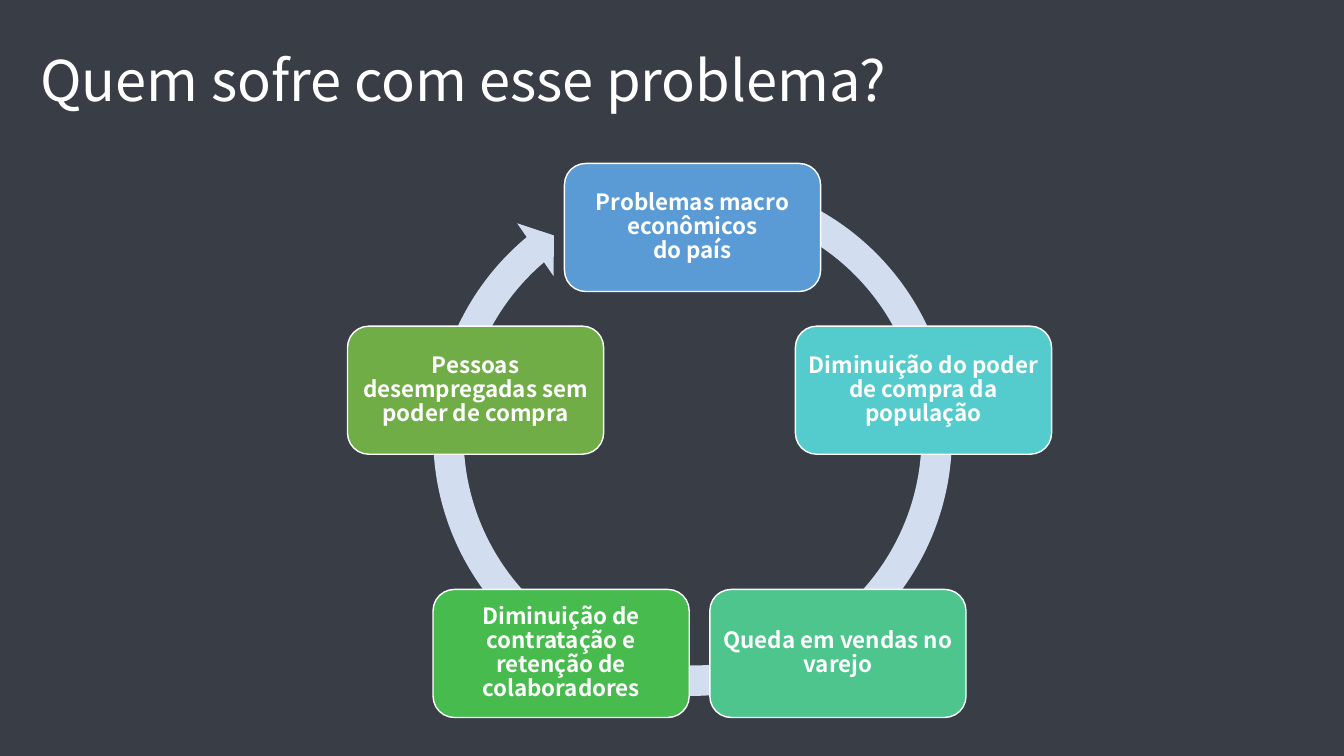
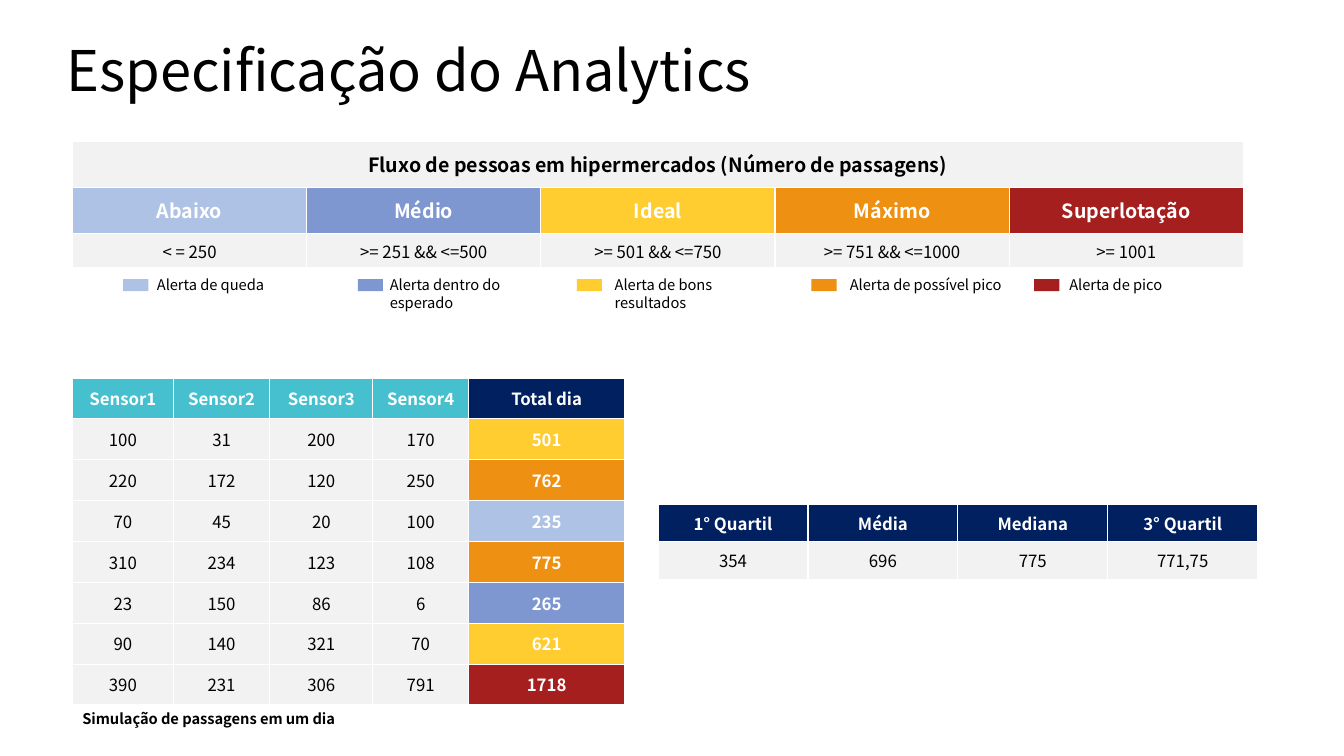
"""Build two slides: the cycle of the retail problem and the analytics specification."""
from dataclasses import dataclass
from math import cos, pi, sin

from pptx import Presentation
from pptx.dml.color import RGBColor
from pptx.enum.shapes import MSO_SHAPE
from pptx.enum.text import MSO_ANCHOR, MSO_AUTO_SIZE, PP_ALIGN
from pptx.util import Pt

LEFT, CENTER = PP_ALIGN.LEFT, PP_ALIGN.CENTER
MIDDLE = MSO_ANCHOR.MIDDLE
NO_AUTOFIT = MSO_AUTO_SIZE.NONE
ROUNDED, RECTANGLE = MSO_SHAPE.ROUNDED_RECTANGLE, MSO_SHAPE.RECTANGLE
CIRCULAR_ARROW = MSO_SHAPE.CIRCULAR_ARROW


@dataclass(frozen=True)
class Theme:
    font: str = "Noto Sans CJK SC"
    white: str = "FFFFFF"
    black: str = "000000"
    dark: str = "383D46"
    ring: str = "D2DEEF"
    grey: str = "F2F2F2"
    navy: str = "002060"
    teal: str = "46C0CF"
    below: str = "ADC2E5"
    medium: str = "7E97D0"
    ideal: str = "FFCD2F"
    maximum: str = "EE9012"
    crowded: str = "A51F1F"
    title_size: float = 40
    node_size: float = 16
    heading_size: float = 14
    table_size: float = 12
    small_size: float = 10.5


theme = Theme()


def write(frame, text, size, colour, bold=False, align=LEFT, spacing=1.0):
    frame.text = text
    frame.word_wrap = True
    for paragraph in frame.paragraphs:
        paragraph.alignment = align
        paragraph.line_spacing = spacing
        for run in paragraph.runs:
            run.font.name = theme.font
            run.font.size = Pt(size)
            run.font.bold = bold
            run.font.color.rgb = RGBColor.from_string(colour)


def add_titled_slide(title, left, top, background, colour):
    slide = deck.slides.add_slide(deck.slide_layouts[5])
    slide.background.fill.solid()
    slide.background.fill.fore_color.rgb = RGBColor.from_string(background)
    heading = slide.shapes.title
    heading.left, heading.top = Pt(left), Pt(top)
    heading.width, heading.height = Pt(828), Pt(104.4)
    heading.text_frame.auto_size = NO_AUTOFIT
    heading.text_frame.vertical_anchor = MIDDLE
    write(heading.text_frame, title, theme.title_size, colour, spacing=0.9)
    return slide


deck = Presentation()
deck.slide_width, deck.slide_height = Pt(960), Pt(540)

cycle = add_titled_slide("Quem sofre com esse problema?", 21.6, 7.2, theme.dark, theme.white)

ring = cycle.shapes.add_shape(CIRCULAR_ARROW, Pt(297.4), Pt(114.5), Pt(394.6), Pt(394.6))
for index, value in enumerate((0.055, 3.307, 137.948, 173.745, 0.058)):
    ring.adjustments[index] = value
ring.shadow.inherit = False
ring.fill.solid()
ring.fill.fore_color.rgb = RGBColor.from_string(theme.ring)
ring.line.fill.background()

stages = [
    ("Problemas macro econômicos\vdo país", "5B9BD5", -5),
    ("Diminuição do poder de compra da população", "54CCCD", 0),
    ("Queda em vendas no varejo", "4DC58D", 0),
    ("Diminuição de contratação e retenção de colaboradores", "48BB4F", 0),
    ("Pessoas desempregadas sem poder de compra", "70AD47", 0),
]
centre_x, centre_y, radius = 499.7, 330.7, 168.2
stage_width, stage_height = 183, 91.5
for index, (text, colour, nudge) in enumerate(stages):
    angle = 2 * pi * index / len(stages)
    left = centre_x + radius * sin(angle) - stage_width / 2 + nudge
    top = centre_y - radius * cos(angle) - stage_height / 2
    stage = cycle.shapes.add_shape(ROUNDED, Pt(left), Pt(top), Pt(stage_width), Pt(stage_height))
    stage.shadow.inherit = False
    stage.fill.solid()
    stage.fill.fore_color.rgb = RGBColor.from_string(colour)
    stage.line.color.rgb = RGBColor.from_string(theme.white)
    stage.line.width = Pt(1)
    frame = stage.text_frame
    frame.margin_left = frame.margin_right = frame.margin_top = frame.margin_bottom = Pt(5)
    frame.vertical_anchor = MIDDLE
    write(frame, text, theme.node_size, theme.white, True, CENTER, 0.9)

analytics = add_titled_slide("Especificação do Analytics", 40.4, 0, theme.white, theme.black)

bands = [
    ("Abaixo", "< = 250", 250, theme.below),
    ("Médio", ">= 251 && <=500", 500, theme.medium),
    ("Ideal", ">= 501 && <=750", 750, theme.ideal),
    ("Máximo", ">= 751 && <=1000", 1000, theme.maximum),
    ("Superlotação", ">= 1001", float("inf"), theme.crowded),
]
flow_rows = [
    [("Fluxo de pessoas em hipermercados (Número de passagens)", theme.grey)],
    [(name, colour) for name, _, _, colour in bands],
    [(limits, theme.grey) for _, limits, _, _ in bands],
]

passages = [
    (100, 31, 200, 170),
    (220, 172, 120, 250),
    (70, 45, 20, 100),
    (310, 234, 123, 108),
    (23, 150, 86, 6),
    (90, 140, 321, 70),
    (390, 231, 306, 791),
]
sensor_rows = [[(f"Sensor{n}", theme.teal) for n in range(1, 5)] + [("Total dia", theme.navy)]]
for counts in passages:
    total = sum(counts)
    total_colour = next(colour for _, _, limit, colour in bands if total <= limit)
    sensor_rows.append([(str(n), theme.grey) for n in counts] + [(str(total), total_colour)])

statistics = {"1° Quartil": "354", "Média": "696", "Mediana": "775", "3° Quartil": "771,75"}
statistic_rows = [
    [(name, theme.navy) for name in statistics],
    [(value, theme.grey) for value in statistics.values()],
]

heading, body = theme.heading_size, theme.table_size
tables = [
    (51.8, 100.8, [167.3] * 5, [33, 33, 24], flow_rows, [heading, heading, body], (7.2, 3.6)),
    (51.8, 270, [72, 69, 73.5, 68.5, 111.5], [29.2] * 8, sensor_rows, [body] * 8, (1, 0.5)),
    (470, 360, [107.1] * 4, [27] * 2, statistic_rows, [body] * 2, (1, 0.5)),
]
for left, top, widths, heights, rows, sizes, (side, edge) in tables:
    grid = analytics.shapes.add_table(
        len(heights), len(widths), Pt(left), Pt(top), Pt(sum(widths)), Pt(sum(heights))
    ).table
    for column, width in zip(grid.columns, widths):
        column.width = Pt(width)
    for row_index, (entries, height, size) in enumerate(zip(rows, heights, sizes)):
        grid.rows[row_index].height = Pt(height)
        if len(entries) == 1:
            grid.cell(row_index, 0).merge(grid.cell(row_index, len(widths) - 1))
        for column_index, (text, colour) in enumerate(entries):
            cell = grid.cell(row_index, column_index)
            cell.margin_left = cell.margin_right = Pt(side)
            cell.margin_top = cell.margin_bottom = Pt(edge)
            cell.vertical_anchor = MIDDLE
            cell.fill.solid()
            cell.fill.fore_color.rgb = RGBColor.from_string(colour)
            ink = theme.black if colour == theme.grey else theme.white
            bold = row_index == 0 or colour != theme.grey
            write(cell.text_frame, text, size, ink, bold, CENTER)

alerts = [
    ("Alerta de queda", 88, 105, 96),
    ("Alerta dentro do esperado", 255.6, 271.4, 138),
    ("Alerta de bons resultados", 412, 432, 127.4),
    ("Alerta de possível pico", 579.6, 600, 127.4),
    ("Alerta de pico", 738.7, 756.7, 96),
]
for (_, _, _, colour), (_, key_left, _, _) in zip(bands, alerts):
    key = analytics.shapes.add_shape(RECTANGLE, Pt(key_left), Pt(199.4), Pt(18), Pt(8.6))
    key.shadow.inherit = False
    key.fill.solid()
    key.fill.fore_color.rgb = RGBColor.from_string(colour)
    key.line.fill.background()

notes = [(text, left, 193.7, width, False) for text, _, left, width in alerts]
notes.append(("Simulação de passagens em um dia", 51.8, 503.3, 216, True))
for text, left, top, width, bold in notes:
    note = analytics.shapes.add_textbox(Pt(left), Pt(top), Pt(width), Pt(20))
    write(note.text_frame, text, theme.small_size, theme.black, bold)

deck.save("out.pptx")
